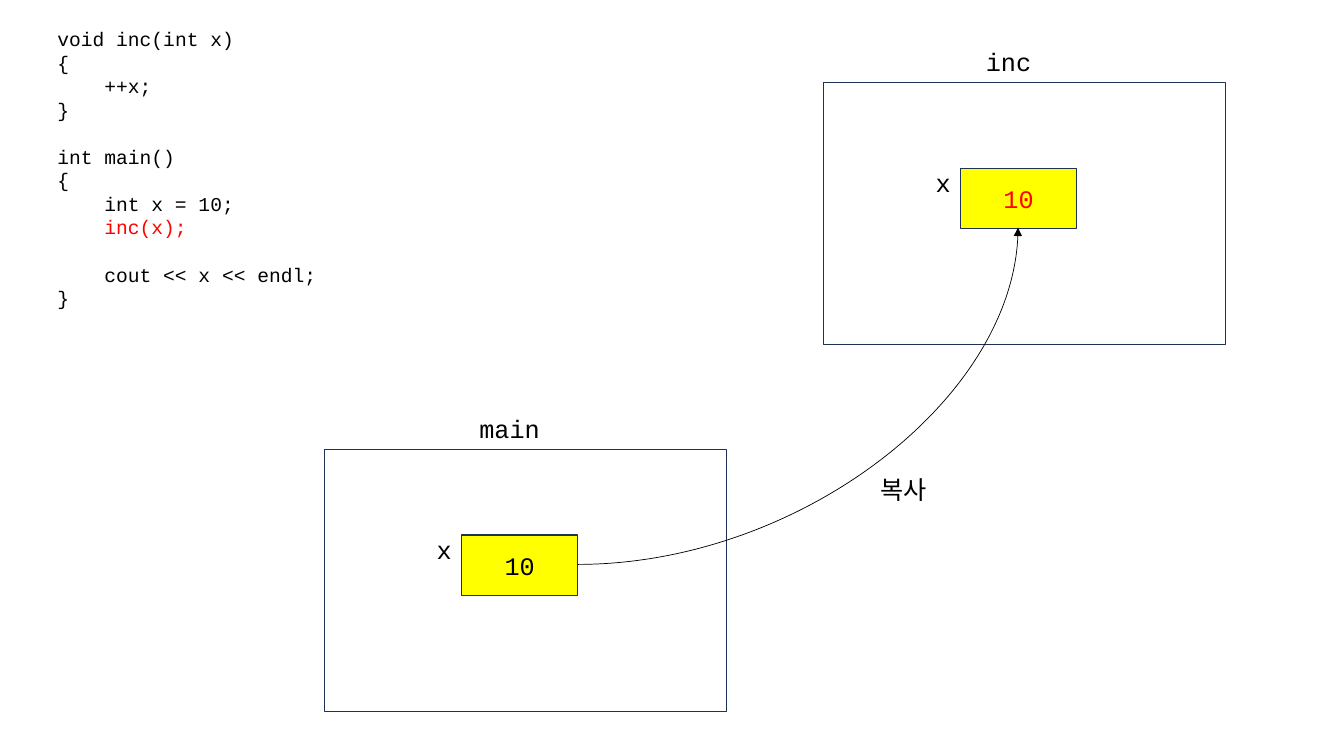
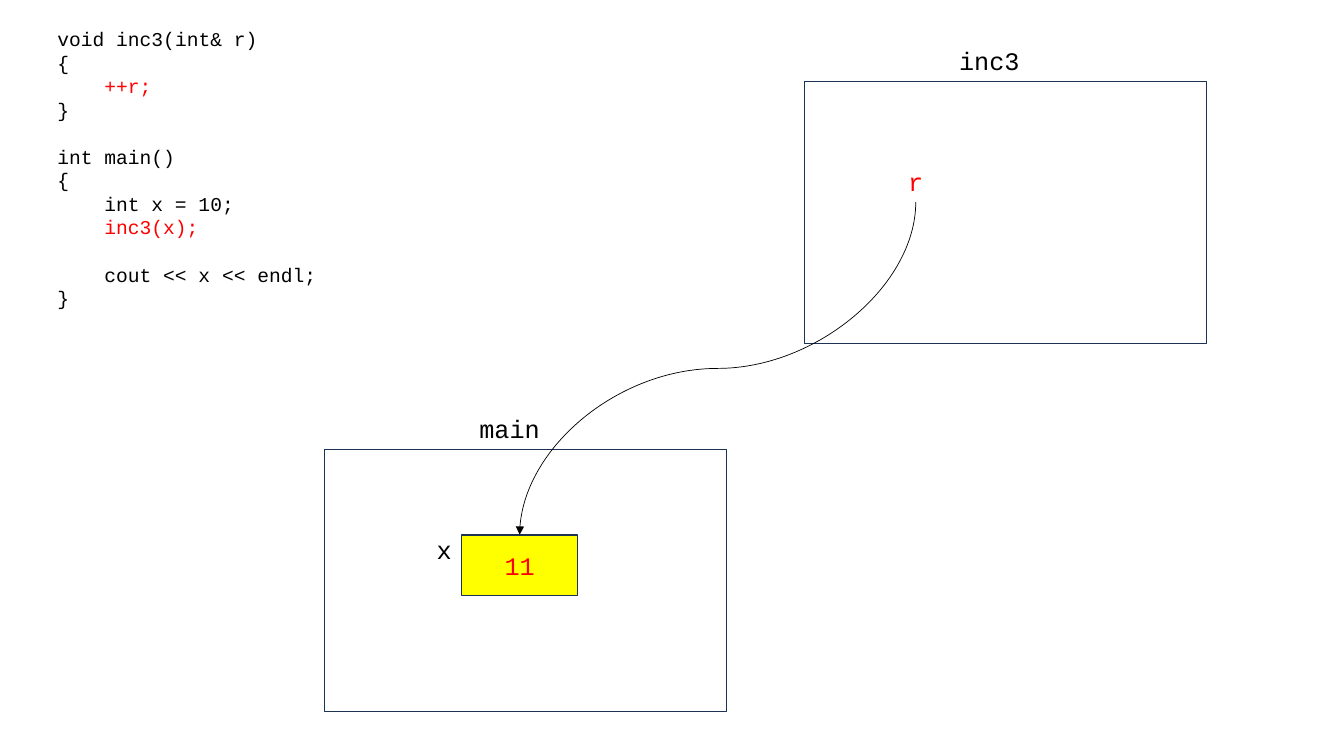
from pptx import Presentation
from pptx.dml.color import RGBColor
from pptx.enum import shapes, text
from pptx.oxml import parse_xml
from pptx.oxml.ns import nsdecls
from pptx.util import Pt

BLACK = RGBColor(0, 0, 0)
RED = RGBColor(255, 0, 0)
WHITE = RGBColor(255, 255, 255)
YELLOW = RGBColor(255, 255, 0)
NAVY = RGBColor(0x1E, 0x32, 0x56)
FONT = "Courier New"
CENTER, RIGHT = text.PP_ALIGN.CENTER, text.PP_ALIGN.RIGHT

LINE_PITCH = 16.8   # height of one code line
CODE_INDENT = 33.6  # four characters of code
MAIN = (231.84, 321.12)

# Each line of code: text, indented, colour; None is an empty line
# Each frame: origin, function, variable, its colour and alignment, value, its colour
SLIDES = [
    dict(
        code=[("void inc(int x)", False, BLACK), ("{", False, BLACK),
              ("++x;", True, BLACK), ("}", False, BLACK), None],
        call="inc(x);",
        frames=[(MAIN, "main", "x", BLACK, RIGHT, "10", BLACK),
                ((588.24, 59.04), "inc", "x", BLACK, RIGHT, "10", RED)],
        arrow=dict(ends=(412.56, 403.2, 727.2, 162.72), preset="curvedConnector2", turn=0),
        note="복사"),
    dict(
        code=[("void inc3(int& r)", False, BLACK), ("{", False, BLACK),
              ("++r;", True, RED), ("}", False, BLACK), None],
        call="inc3(x);",
        frames=[(MAIN, "main", "x", BLACK, RIGHT, "11", RED),
                ((574.56, 58.32), "inc3", "r", RED, CENTER, None, None)],
        arrow=dict(ends=(393.84, 121.68, 631.44, 404.64), preset="curvedConnector3", turn=90),
        note=None),
]


def add_label(s, words, x, y, w, color=BLACK, align=CENTER):
    tf = s.shapes.add_textbox(Pt(x), Pt(y), Pt(w), Pt(29)).text_frame
    tf.word_wrap = True
    write(tf.paragraphs[0], words, 18, color, align)


def write(p, words, size, color, align=None):
    p.alignment = align
    r = p.add_run()
    r.text = words
    for name, value in dict(name=FONT, size=Pt(size)).items():
        setattr(r.font, name, value)
    r.font.color.rgb = color


prs = Presentation()
prs.slide_width, prs.slide_height = Pt(960), Pt(540)

for page in SLIDES:
    s = prs.slides.add_slide(prs.slide_layouts[6])

    # Function frames with the variable and its value
    for (x, y), function, variable, var_color, align, value, value_color in page["frames"]:
        boxes = [(x, y, 287.28, 187.2, WHITE, None)]
        if value:
            boxes.append((x + 97.92, y + 61.2, 82.8, 43.2, YELLOW, value))
        for left, top, width, height, fill, words in boxes:
            sp = s.shapes.add_shape(shapes.MSO_SHAPE.RECTANGLE,
                                    Pt(left), Pt(top), Pt(width), Pt(height))
            sp.shadow.inherit = False
            sp.fill.solid()
            sp.fill.fore_color.rgb = fill
            sp.line.color.rgb = NAVY
            sp.line.width = Pt(1)
            if words:
                sp.text_frame.vertical_anchor = text.MSO_ANCHOR.MIDDLE
                write(sp.text_frame.paragraphs[0], words, 18, value_color, CENTER)
        add_label(s, variable, x + 61.2, y + 56.88, 36.72, var_color, align)
        add_label(s, function, x + 91.44, y - 29.52, 81.36)

    # Code listing; an empty line becomes space before the next one
    code = page["code"] + [
        ("int main()", False, BLACK), ("{", False, BLACK), ("int x = 10;", True, BLACK),
        (page["call"], True, RED), None,
        ("cout << x << endl;", True, BLACK), ("}", False, BLACK)]
    tf = s.shapes.add_textbox(Pt(33.84), Pt(15.84), Pt(480), Pt(211)).text_frame
    tf.word_wrap = True
    p, gap = tf.paragraphs[0], 0
    for line in code:
        if line is None:
            gap = LINE_PITCH
            continue
        words, indented, color = line
        if p.runs:
            p = tf.add_paragraph()
        write(p, words, 14, color)
        p.line_spacing, p.space_before = Pt(LINE_PITCH), Pt(gap)
        if indented:
            p._p.get_or_add_pPr().set("marL", str(Pt(CODE_INDENT)))
        gap = 0

    # Curved arrow between the variables
    arrow = page["arrow"]
    cx = s.shapes.add_connector(shapes.MSO_CONNECTOR.CURVE, *[Pt(v) for v in arrow["ends"]])
    cx.line.color.rgb = BLACK
    cx.line.width = Pt(0.5)
    pr = cx._element.spPr
    pr.prstGeom.set("prst", arrow["preset"])
    if arrow["turn"]:
        pr.xfrm.set("rot", str(arrow["turn"] * 60000))
    pr.ln.append(parse_xml(f'<a:tailEnd {nsdecls("a")} type="triangle"/>'))
    pr.append(parse_xml(f'<a:effectLst {nsdecls("a")}/>'))

    if page["note"]:
        add_label(s, page["note"], 604.8, 335.52, 81.36)

prs.save("out.pptx")
